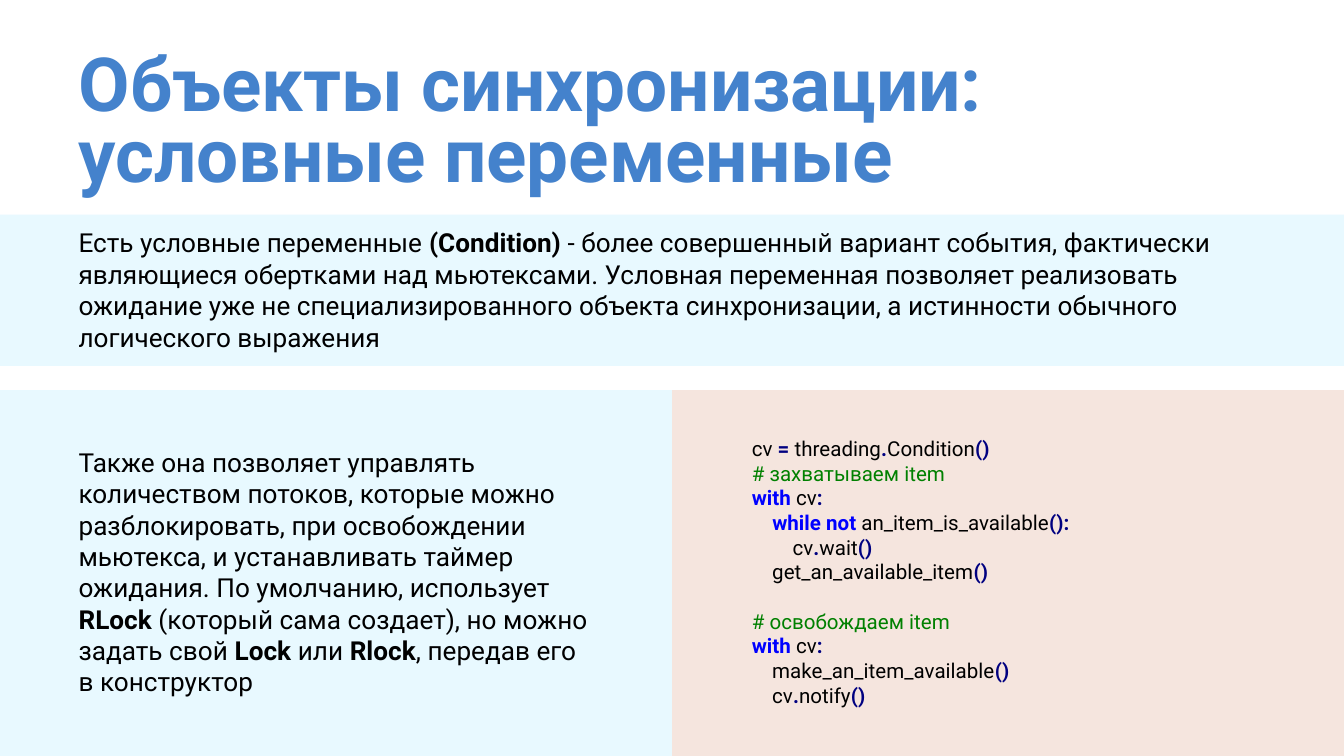
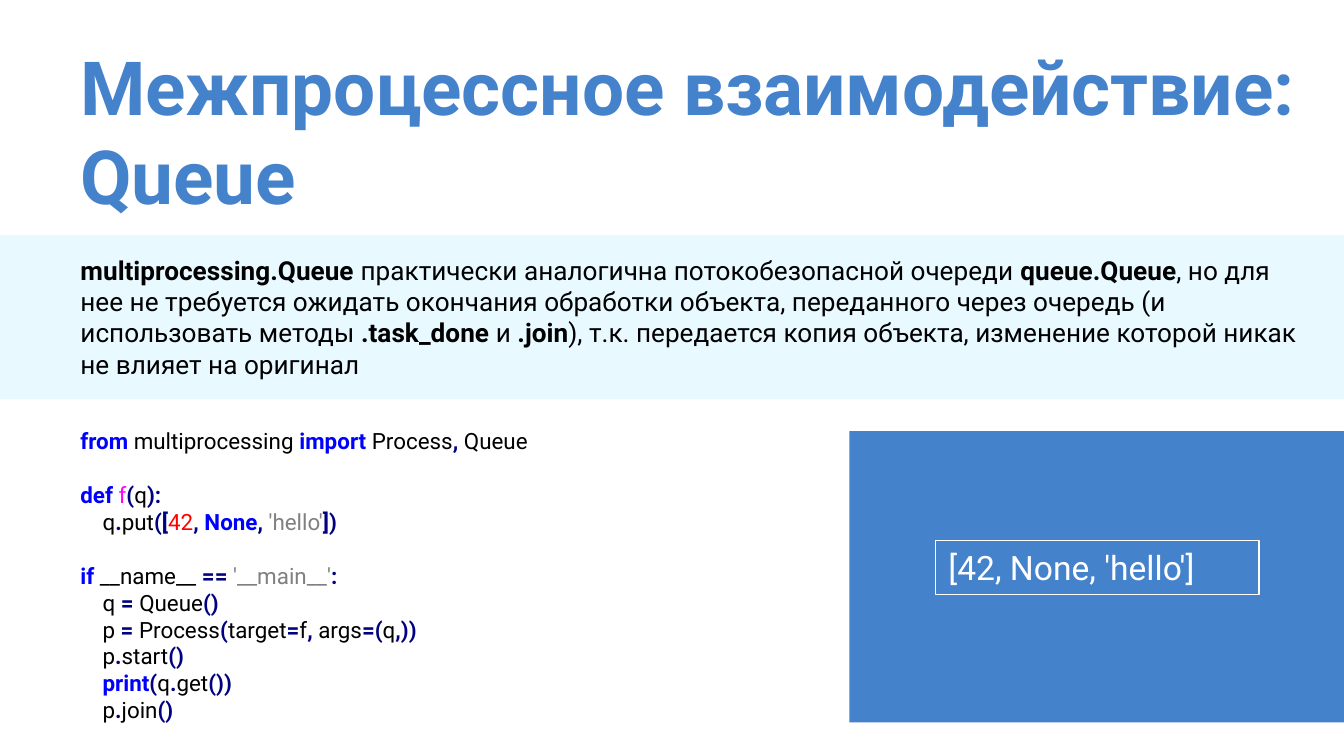
from itertools import groupby

from pptx import Presentation
from pptx.dml.color import RGBColor
from pptx.enum.shapes import MSO_SHAPE as Shape
from pptx.enum.text import MSO_ANCHOR as Anchor, MSO_AUTO_SIZE as AutoSize, PP_ALIGN as Align
from pptx.util import Pt

WIDTH, HEIGHT = 720, 405
FONT = "Roboto"
BLUE, ICE, PEACH = "4482CC", "E8F9FF", "F5E5DE"
WHITE, BLACK = "FFFFFF", "000000"
KEYWORD, SIGN, COMMENT = "0000FF", "000080", "008000"
STRING, NUMBER, DEFINED = "808080", "FF0000", "FF00FF"
KEYWORDS = {"with", "while", "not", "from", "import", "def", "if", "print", "None"}

CONDITION_CODE = """cv = threading.Condition()
# захватываем item
with cv:
    while not an_item_is_available():
        cv.wait()
    get_an_available_item()

# освобождаем item
with cv:
    make_an_item_available()
    cv.notify()"""

QUEUE_CODE = """from multiprocessing import Process, Queue

def f(q):
    q.put([42, None, 'hello'])

if __name__ == '__main__':
    q = Queue()
    p = Process(target=f, args=(q,))
    p.start()
    print(q.get())
    p.join()"""


def color(value):
    return RGBColor.from_string(value)


def apply(target, values):
    for name, value in values.items():
        setattr(target, name, value)


def add_panel(shapes, box, fill=None, line=None):
    panel = shapes.add_shape(Shape.RECTANGLE, *map(Pt, box))
    panel.shadow.inherit = False
    if fill:
        panel.fill.solid()
        panel.fill.fore_color.rgb = color(fill)
    else:
        panel.fill.background()
    if line:
        panel.line.color.rgb = color(line)
        panel.line.width = Pt(0.75)
    else:
        panel.line.fill.background()
    return panel


def write(frame, lines, size, spacing=None, inset=3.6, auto_size=AutoSize.SHAPE_TO_FIT_TEXT):
    apply(frame, {
        "word_wrap": True, "auto_size": auto_size, "vertical_anchor": Anchor.TOP,
        "margin_left": Pt(7.2), "margin_right": Pt(7.2),
        "margin_top": Pt(inset), "margin_bottom": Pt(inset),
    })
    for index, (gap, spans) in enumerate(lines):
        para = frame.paragraphs[0] if index == 0 else frame.add_paragraph()
        apply(para, {"alignment": Align.LEFT, "space_before": Pt(gap), "line_spacing": spacing})
        for text, ink, bold in spans:
            span = para.add_run()
            span.text = text
            apply(span.font, {"name": FONT, "size": Pt(size), "bold": bold})
            span.font.color.rgb = color(ink)


def add_text(page, box, lines, size, **layout):
    frame = page.shapes.add_textbox(*map(Pt, box)).text_frame
    write(frame, lines, size, **layout)


def add_title(page, box, text, spacing=None):
    add_text(page, box, [(0, [(text, BLUE, True)])], 40,
             spacing=spacing, inset=7.2, auto_size=AutoSize.NONE)


def add_prose(page, box, text):
    lines = [
        (0, [(piece, BLACK, index % 2 == 1)
             for index, piece in enumerate(line.split("**")) if piece])
        for line in text.split("\n")
    ]
    add_text(page, box, lines, 14)


def char_kind(char):
    if char.isspace():
        return "space"
    return "word" if char.isalnum() or char == "_" else "sign"


def highlight(line):
    if line.startswith("#"):
        return [(line, COMMENT, False)]
    spans, previous = [], ""
    for index, part in enumerate(line.split("'")):
        if index % 2:
            spans.append((f"'{part}'", STRING, False))
            continue
        for kind, chars in groupby(part, char_kind):
            token = "".join(chars)
            if kind == "sign":
                spans.append((token, SIGN, True))
            elif token in KEYWORDS:
                spans.append((token, KEYWORD, True))
            elif token.isdigit():
                spans.append((token, NUMBER, False))
            else:
                ink = DEFINED if kind == "word" and previous == "def" else BLACK
                spans.append((token, ink, False))
            if kind == "word":
                previous = token
    return spans


def add_code(page, box, code, size):
    lines, gap = [], 0
    for line in code.split("\n"):
        if line:
            lines.append((gap, highlight(line)))
            gap = 0
        else:
            gap = 1.2 * size
    add_text(page, box, lines, size)


def add_band(page, box, text, text_left, text_width, pad):
    left, top, width, height = box
    add_panel(page.shapes, box, ICE)
    add_prose(page, (left + text_left, top + pad, text_width, height - 2 * pad), text)


def add_output(page, box, text):
    left, top, width, height = box
    group = page.shapes.add_group_shape()
    add_panel(group.shapes, box, BLUE)
    inner = (left + 46, top + 58.5, width - 91.5, 29)
    frame = add_panel(group.shapes, inner, line=WHITE).text_frame
    write(frame, [(0, [(text, WHITE, False)])], 18)


def add_condition_slide(deck):
    page = deck.slides.add_slide(deck.slide_layouts[6])
    half, split_top = WIDTH / 2, 209
    add_panel(page.shapes, (half, split_top, half, HEIGHT - split_top), PEACH)
    add_panel(page.shapes, (0, split_top, half, HEIGHT - split_top), ICE)
    add_title(page, (35, 21.6, 640, 55), "Объекты синхронизации: условные переменные", 0.8)
    add_band(
        page, (0, 115, WIDTH, 81),
        "Есть условные переменные **(Condition) **- более совершенный вариант события, "
        "фактически являющиеся обертками над мьютексами. Условная переменная позволяет "
        "реализовать ожидание уже не специализированного объекта синхронизации, "
        "а истинности обычного логического выражения",
        35, 640, 3)
    add_prose(
        page, (35, split_top + 26.5, 289.5, 143),
        "Также она позволяет управлять количеством потоков, которые можно разблокировать, "
        "при освобождении мьютекса, и устанавливать таймер ожидания. По умолчанию, "
        "использует **RLock** (который сама создает), но можно задать свой **Lock **или "
        "**Rlock**, передав его\nв конструктор")
    add_code(page, (half + 35.7, split_top + 21, 254, 154), CONDITION_CODE, 11)


def add_queue_slide(deck):
    page = deck.slides.add_slide(deck.slide_layouts[6])
    add_title(page, (36, 14.5, 684, 55), "Межпроцессное взаимодействие: Queue")
    add_band(
        page, (0, 126, WIDTH, 88),
        "**multiprocessing.Queue **практически аналогична потокобезопасной очереди "
        "**queue.Queue**, но для нее не требуется ожидать окончания обработки объекта, "
        "переданного через очередь (и использовать методы **.task_done **и **.join**), "
        "т.к. передается копия объекта, изменение которой никак не влияет на оригинал",
        36, 671, 6.5)
    add_code(page, (36, 225.5, 258, 167), QUEUE_CODE, 12)
    add_output(page, (455, 231, 265, 156), "[42, None, 'hello']")


def main():
    deck = Presentation()
    apply(deck, {"slide_width": Pt(WIDTH), "slide_height": Pt(HEIGHT)})
    add_condition_slide(deck)
    add_queue_slide(deck)
    deck.save("out.pptx")


if __name__ == "__main__":
    main()
